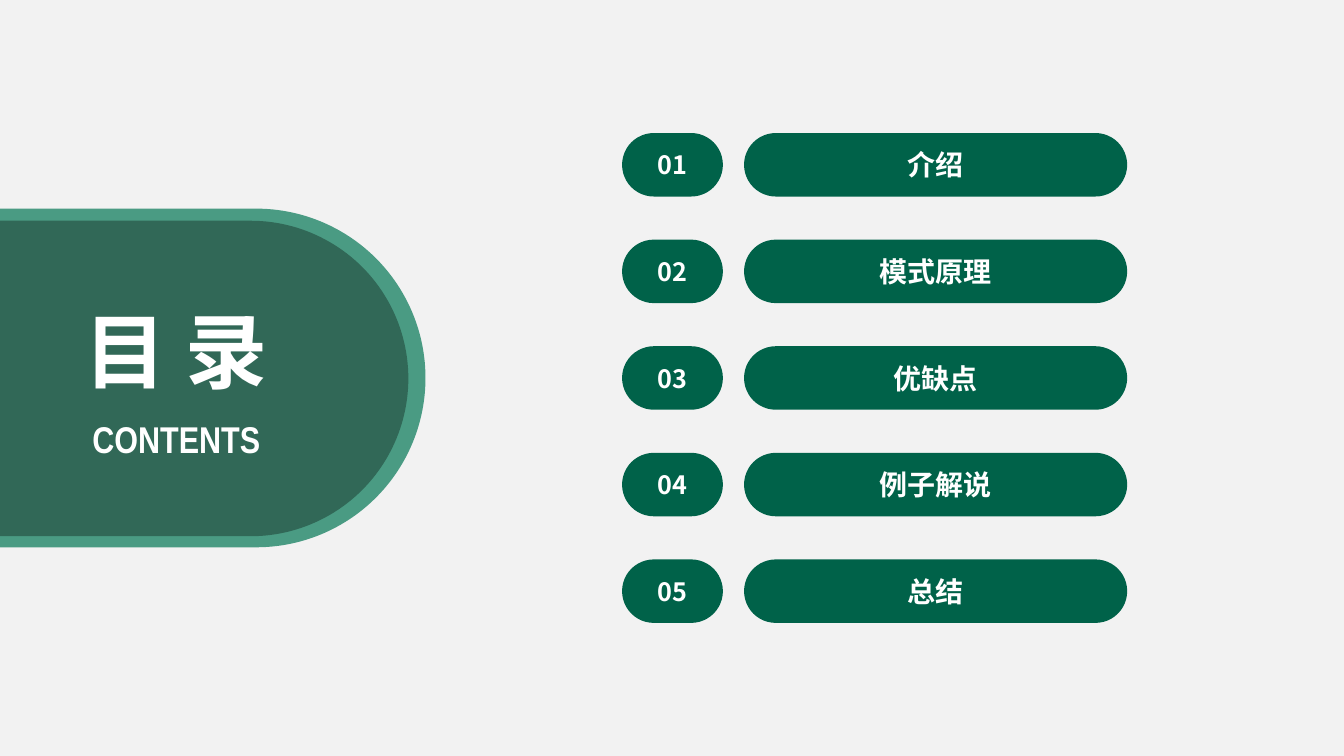
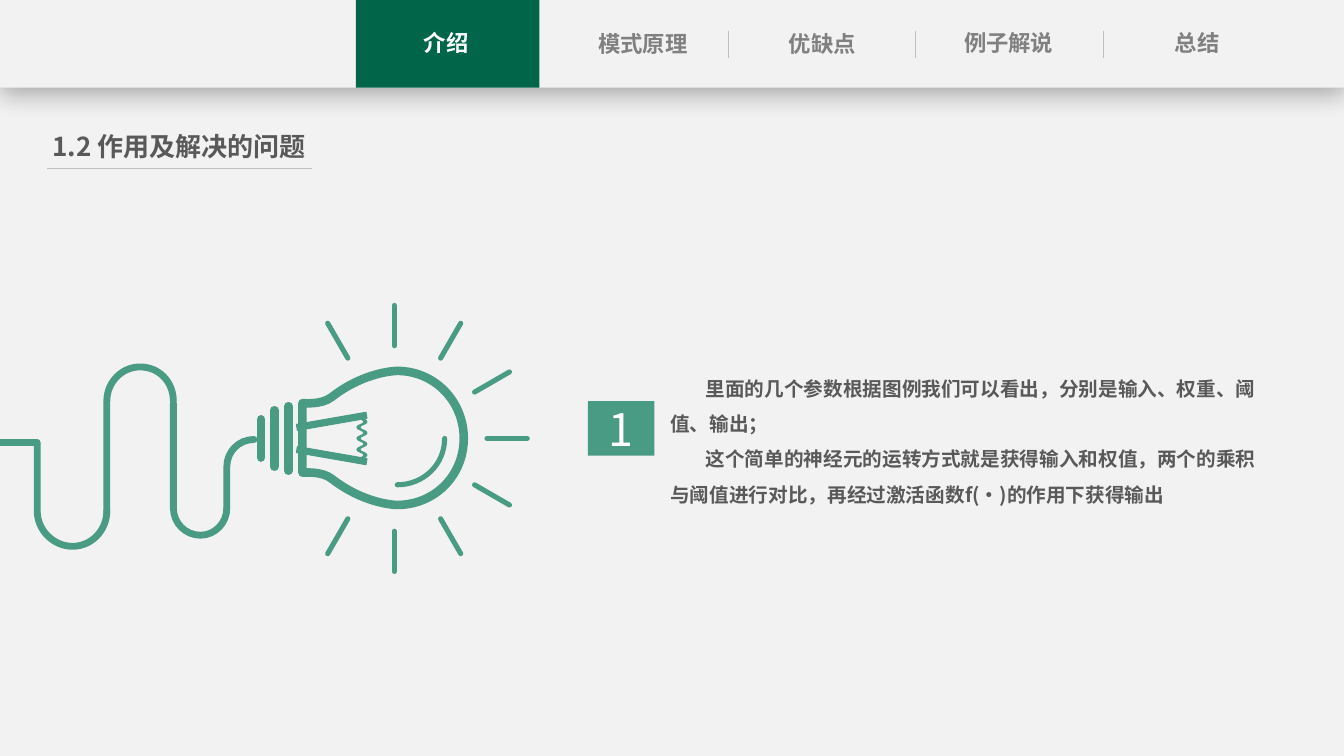
from math import cos, radians, sin

from lxml.etree import SubElement
from pptx import Presentation
from pptx.dml.color import RGBColor as Rgb
from pptx.enum.shapes import MSO_CONNECTOR as Conn, MSO_SHAPE as Geo
from pptx.enum.text import MSO_ANCHOR as Anchor, PP_ALIGN as Align
from pptx.oxml.ns import qn
from pptx.util import Inches, Pt

FONT = "Noto Sans CJK SC"
PAPER, WHITE = "F2F2F2", "FFFFFF"
GREEN, MINT, PINE = "006249", "4A9B83", "316857"
DARK, GREY, RULE = "595959", "808080", "BFBFBF"
TOPICS = ["介绍", "模式原理", "优缺点", "例子解说", "总结"]


def paint(fill, color):
    fill.solid()
    fill.fore_color.rgb = Rgb.from_string(color)


def place(shape, box):
    shape.left, shape.top, shape.width, shape.height = map(Inches, box)


def write(shape, text, size, color, font=FONT, bold=True, align=Align.CENTER,
          anchor=Anchor.TOP, wrap=True, inset=0.1):
    frame = shape.text_frame
    frame.text = text
    frame.word_wrap = wrap
    frame.vertical_anchor = anchor
    frame.margin_left = frame.margin_right = Inches(inset)
    frame.margin_top = frame.margin_bottom = Inches(0.05)
    for para in frame.paragraphs:
        para.alignment = align
        for run in para.runs:
            run.font.size = Pt(size)
            run.font.bold = bold
            run.font.name = font
            paint(run.font.fill, color)
            SubElement(run.font._element, qn("a:ea"), typeface=font)


def add_text(shapes, box, *args, **style):
    label = shapes.add_textbox(*map(Inches, box))
    write(label, *args, **style)
    return label


def add_block(shapes, box, color, geo=Geo.RECTANGLE):
    block = shapes.add_shape(geo, *map(Inches, box))
    if geo == Geo.ROUNDED_RECTANGLE:
        block.adjustments[0] = 0.5
    paint(block.fill, color)
    block.line.fill.background()
    block.shadow.inherit = False
    return block


def add_pill(shapes, box, color):
    return add_block(shapes, box, color, Geo.ROUNDED_RECTANGLE)


def stroke(line, color, width, cap):
    paint(line.fill, color)
    line.width = Pt(width)
    edge = line._get_or_add_ln()
    edge.set("cap", cap)
    SubElement(edge, qn("a:round"))


def add_line(shapes, start, end, color, width, cap="flat"):
    line = shapes.add_connector(Conn.STRAIGHT, *map(Inches, (*start, *end)))
    stroke(line.line, color, width, cap)
    SubElement(line._element.spPr, qn("a:effectLst"))


def add_curve(shapes, start, steps, width, close=False, filled=False):
    spots = [tuple(map(Inches, step[i:i + 2])) for step in steps
             for i in range(0, len(step), 2)]
    pen = shapes.build_freeform(*map(Inches, start))
    pen.add_line_segments(spots, close=close)
    curve = pen.convert_to_shape()
    parts = iter(list(curve._element.iter(qn("a:lnTo"))))
    for step in steps:
        first = next(parts)
        if len(step) == 6:
            first.tag = qn("a:cubicBezTo")
            bend = SubElement(first.getparent(), qn("a:cubicBezTo"))
            first.addprevious(bend)
            for part in (first, next(parts), next(parts)):
                bend.append(part[0])
                part.getparent().remove(part)
    if filled:
        paint(curve.fill, MINT)
    else:
        curve.fill.background()
    curve.shadow.inherit = False
    stroke(curve.line, MINT, width, "rnd")


def set_title(slide, box, *args, **style):
    title = slide.shapes.title
    place(title, box)
    write(title, *args, wrap=False, **style)
    slide.shapes._spTree.append(title._element)


def add_wire(shapes):
    add_curve(shapes, (0, 4.39),
              [(0.37, 4.39), (0.37, 5.07), (0.37, 5.26, 0.53, 5.42, 0.72, 5.42),
               (0.91, 5.42, 1.06, 5.26, 1.06, 5.07)], 4.88)
    add_curve(shapes, (1.06, 5.09),
              [(1.06, 3.98), (1.06, 3.79, 1.21, 3.64, 1.39, 3.64),
               (1.58, 3.64, 1.72, 3.79, 1.72, 3.98)], 4.88)
    add_curve(shapes, (1.72, 4),
              [(1.72, 5.04), (1.72, 5.19, 1.84, 5.31, 1.99, 5.31),
               (2.13, 5.31, 2.25, 5.19, 2.25, 5.04)], 4.88)
    add_curve(shapes, (2.25, 5.04),
              [(2.25, 4.63), (2.25, 4.48, 2.37, 4.36, 2.52, 4.36)], 4.88)


def add_coil(shapes):
    def wave(x, order):
        spots = [(x + 0.07 * (i % 2), 4.13 + 0.44 * i / 8) for i in order]
        return [(a, (b + d) / 2, c, (b + d) / 2, c, d)
                for (a, b), (c, d) in zip(spots, spots[1:])]

    steps = wave(3.54, range(9)) + [(3.57, 4.57)] + wave(3.57, range(8, -1, -1))
    add_curve(shapes, (3.54, 4.13), steps, 0.75, close=True, filled=True)


def add_bulb(shapes):
    for angle in map(radians, range(-120, 121, 30)):
        start, end = [(3.91 + r * cos(angle), 4.35 + r * sin(angle)) for r in (0.92, 1.32)]
        add_line(shapes, start, end, MINT, 3.63, "rnd")
    add_curve(shapes, (3.94, 4.81), [(4.2, 4.81, 4.41, 4.61, 4.41, 4.35)], 3.63)
    for side in (-1, 1):
        ends = [(x, 4.35 + side * y) for x, y in
                ((2.94, 0.14), (2.95, 0.08), (3.64, 0.2), (3.63, 0.26))]
        add_curve(shapes, ends[0], ends[1:], 0.75, close=True, filled=True)
    add_coil(shapes)
    glass = [(4.31, 3.68, 4.6, 3.98, 4.6, 4.35), (4.6, 4.72, 4.31, 5.01, 3.94, 5.01),
             (3.92, 5.01, 3.61, 5, 3.29, 4.75), (3.19, 4.67, 3, 4.69, 3, 4.69), (3, 4),
             (3, 4, 3.19, 4.02, 3.29, 3.94), (3.61, 3.69, 3.92, 3.68, 3.94, 3.68)]
    add_curve(shapes, (3.94, 3.68), glass, 6.13, close=True)
    for x, half in ((2.86, 0.32), (2.72, 0.28), (2.59, 0.19)):
        add_line(shapes, (x, 4.35 - half), (x, 4.35 + half), MINT, 6.13, "rnd")
    add_wire(shapes)


def add_nav(shapes, active):
    band = add_block(shapes, (0, 0, 13.33, 0.87), PAPER)
    shade = SubElement(band._element.spPr.find(qn("a:effectLst")), qn("a:outerShdw"),
                       blurRad=str(Pt(18)), dist=str(Pt(4)), dir="5400000",
                       algn="t", rotWithShape="0")
    tint = SubElement(shade, qn("a:srgbClr"), val="000000")
    SubElement(tint, qn("a:alpha"), val="29000")
    add_block(shapes, (3.53, 0, 1.82, 0.87), "006549")
    for i in range(3):
        x = 7.22 + 1.86 * i
        add_line(shapes, (x, 0.31), (x, 0.58), RULE, 0.5)
    spots = [(3.69, 0.24), (5.64, 0.25), (7.42, 0.25), (9.27, 0.24), (11.14, 0.24)]
    for topic, (x, y) in zip(TOPICS, spots):
        add_text(shapes, (x, y, 1.47, 0.38), topic, 16,
                 WHITE if topic == active else GREY, inset=0)


def add_agenda(deck):
    slide = deck.slides.add_slide(deck.slide_layouts[5])
    shapes = slide.shapes
    sheet = add_block(shapes, (0, 0, 13.33, 7.5), PAPER)
    deck.slide_master.shapes._spTree.insert(2, sheet._element)
    add_pill(shapes, (-1.96, 2.07, 6.18, 3.36), MINT)
    add_pill(shapes, (-1.7, 2.19, 5.75, 3.13), PINE)
    for i, topic in enumerate(TOPICS):
        y = 1.32 + 4.23 * i / 4
        for x, width, text, size in ((6.17, 1, f"{i + 1:02}", 18), (7.38, 3.8, topic, 20)):
            pill = add_pill(shapes, (x, y, width, 0.63), GREEN)
            write(pill, text, size, WHITE, anchor=Anchor.MIDDLE)
    add_text(shapes, (0.62, 4.08, 2.26, 0.55), "CONTENTS", 26.6, WHITE,
             font="Arial Narrow", wrap=False)
    set_title(slide, (0.7, 2.93, 2.09, 1.09), "目 录", 58.6, WHITE)


def add_intro(deck):
    slide = deck.slides.add_slide(deck.slide_layouts[5])
    shapes = slide.shapes
    add_nav(shapes, TOPICS[0])
    add_line(shapes, (0.47, 1.67), (3.09, 1.67), RULE, 0.5)
    set_title(slide, (0.48, 1.24, 2.59, 0.42), "1.2 作用及解决的问题", 18.6, DARK, inset=0)
    add_bulb(shapes.add_group_shape().shapes)
    notes = ["里面的几个参数根据图例我们可以看出，分别是输入、权重、阈值、输出；",
             "这个简单的神经元的运转方式就是获得输入和权值，两个的乘积与阈值进行对比，"
             "再经过激活函数f(·)的作用下获得输出"]
    body = add_text(shapes, (6.55, 3.57, 6.05, 1.51), "\n".join(notes), 14, DARK,
                    align=Align.LEFT)
    for para in body.text_frame.paragraphs:
        para.line_spacing = 1.5
        para._p.get_or_add_pPr().set("indent", str(Inches(0.35)))
    badge = add_block(shapes, (5.83, 3.98, 0.66, 0.54), MINT)
    write(badge, "1", 32, WHITE, bold=False, anchor=Anchor.MIDDLE)


def main():
    deck = Presentation()
    deck.slide_width, deck.slide_height = Inches(13.33), Inches(7.5)
    paint(deck.slide_master.background.fill, WHITE)
    add_agenda(deck)
    add_intro(deck)
    deck.save("out.pptx")


if __name__ == "__main__":
    main()
